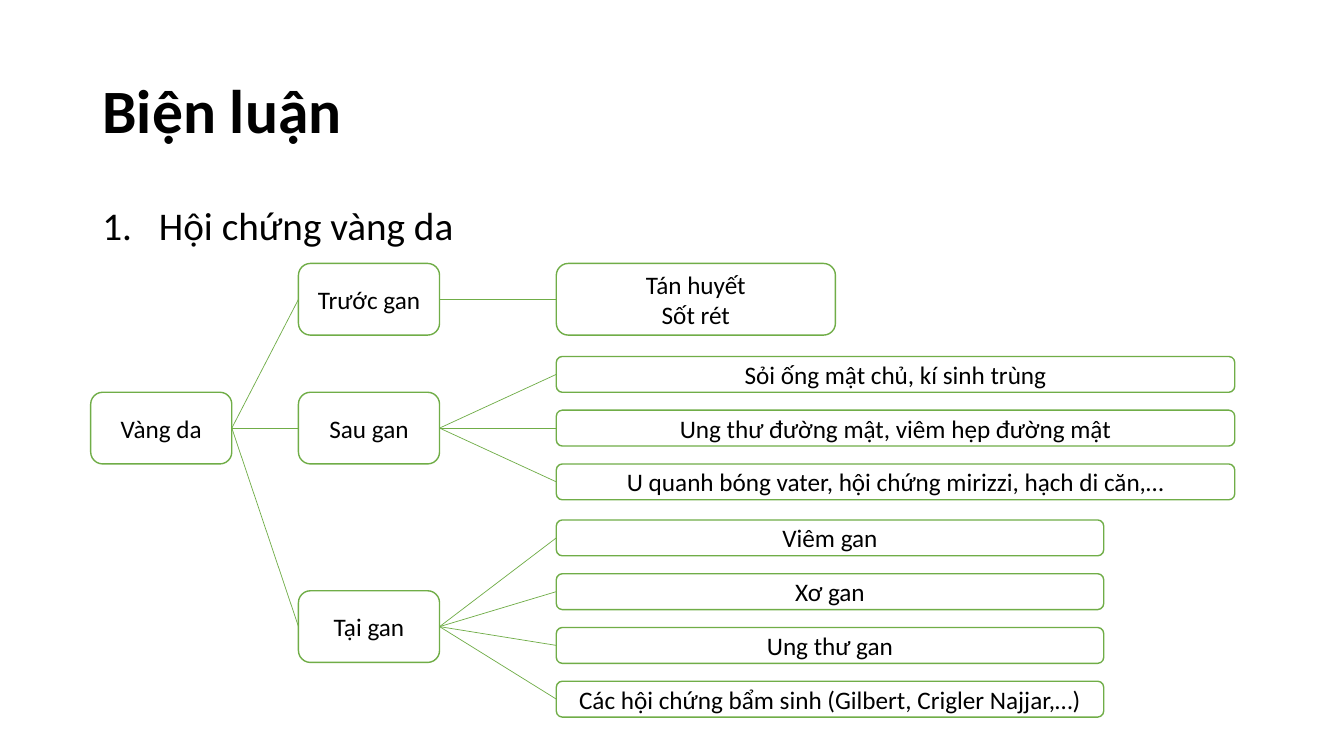
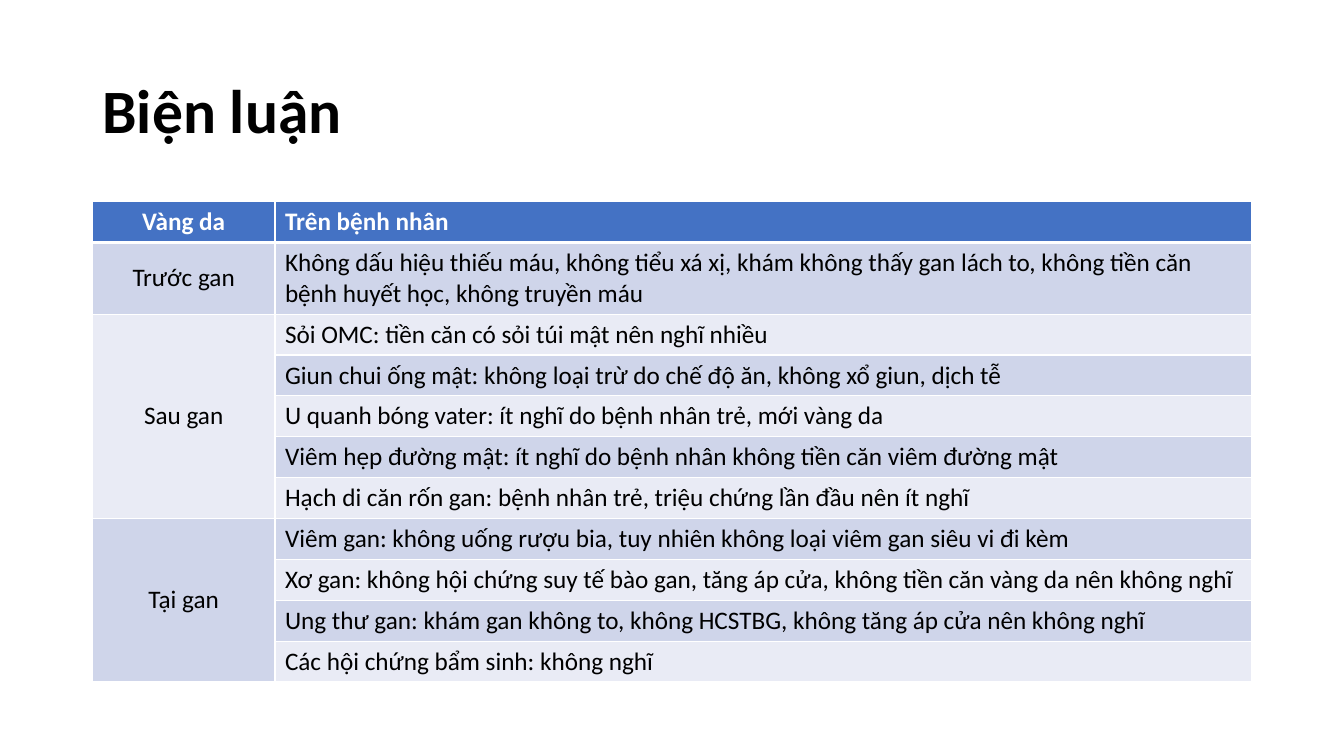
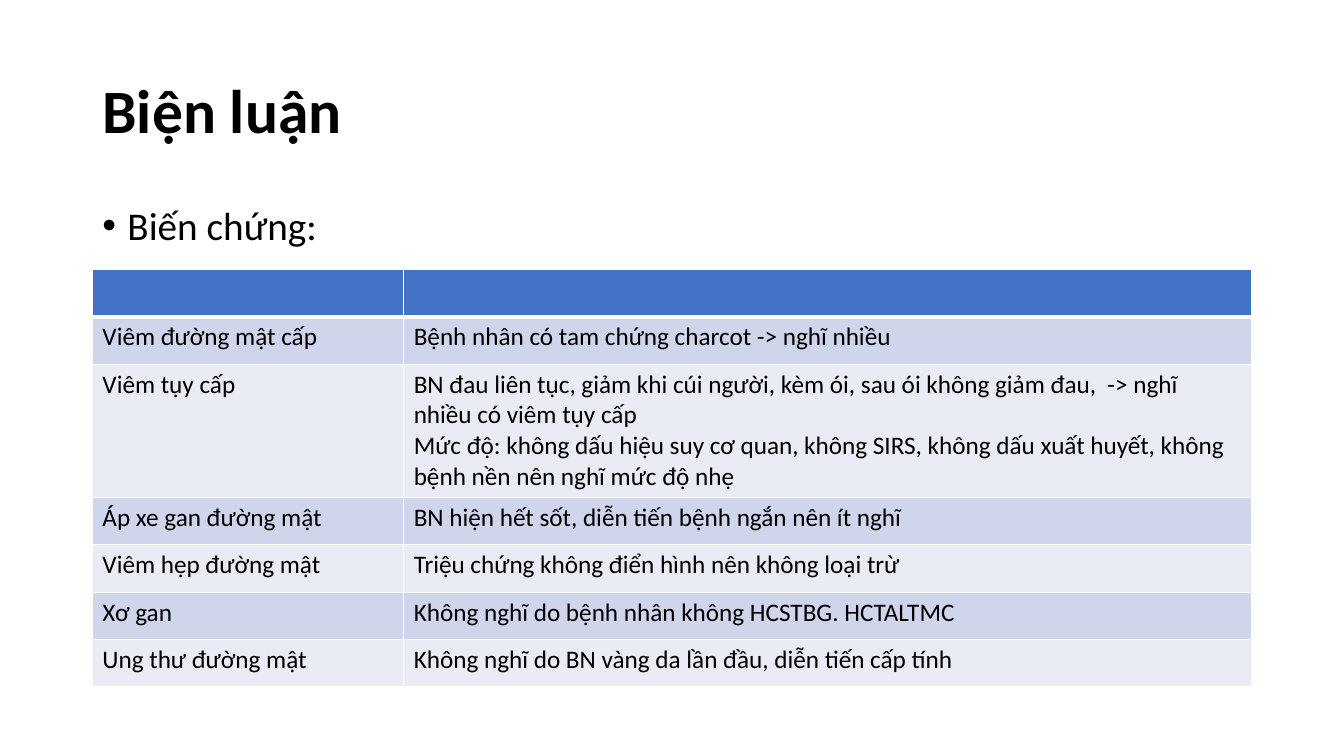
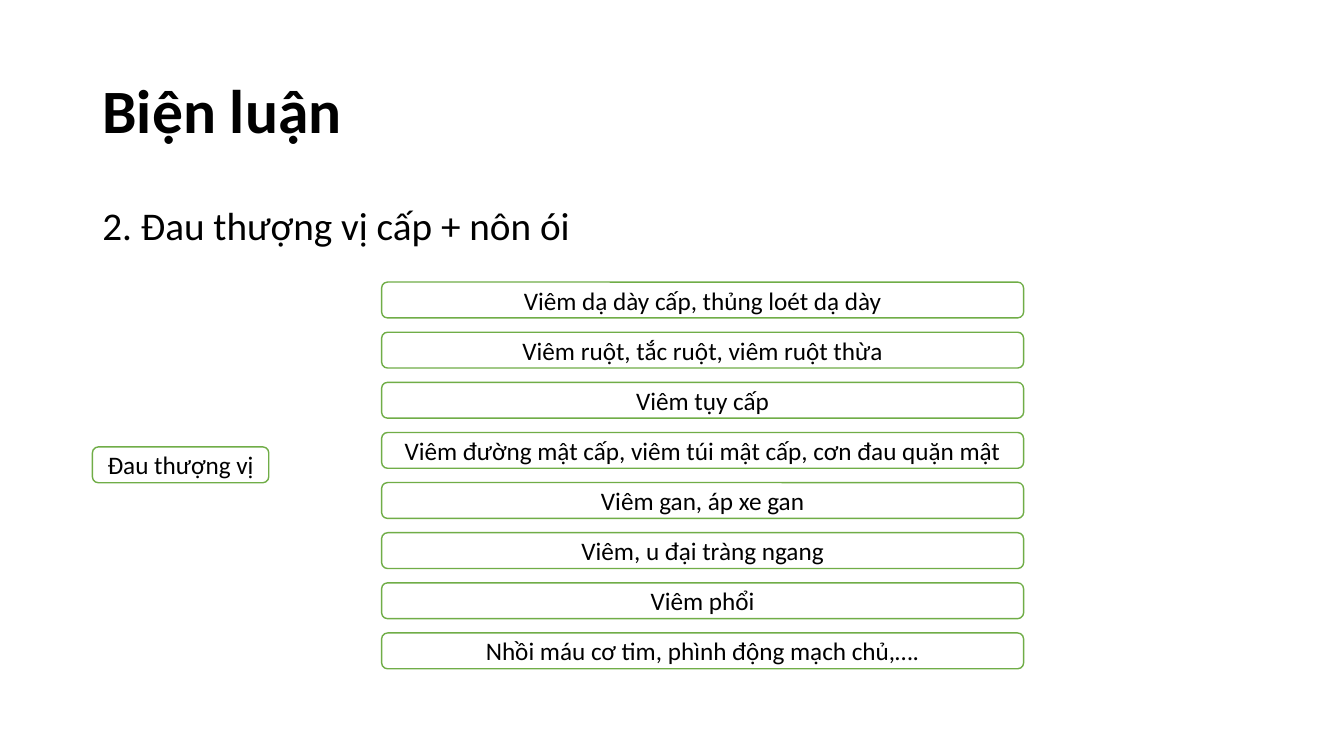
from dataclasses import dataclass
from typing import Optional

from lxml.etree import SubElement
from pptx import Presentation
from pptx.dml.color import RGBColor
from pptx.enum.shapes import MSO_CONNECTOR, MSO_SHAPE
from pptx.enum.text import MSO_ANCHOR, MSO_AUTO_SIZE, PP_ALIGN
from pptx.oxml import parse_xml
from pptx.oxml.ns import nsdecls, qn
from pptx.util import Pt

# Shared style
BLACK = RGBColor(0x00, 0x00, 0x00)
WHITE = RGBColor(0xFF, 0xFF, 0xFF)
GREEN = RGBColor(0x70, 0xAD, 0x47)
HEADER_BLUE = RGBColor(0x44, 0x72, 0xC4)
BANDS = (RGBColor(0xCF, 0xD5, 0xEA), RGBColor(0xE9, 0xEB, 0xF5))
FONT = "Calibri"
TITLE = "Biện luận"
TITLE_SIZE, HEADING_SIZE, TEXT_SIZE = 44, 28, 18
MARGIN, CONTENT_TOP, CONTENT_WIDTH = 66, 144, 828

# Box sizes
NODE_WIDTH, NODE_HEIGHT, LEAF_HEIGHT = 100.8, 51.2, 25.6
LEFT_SITE, RIGHT_SITE = 1, 3


@dataclass(frozen=True)
class Bullet:
    tag: str
    attribute: str
    value: str
    indent: float


@dataclass(frozen=True)
class Branch:
    label: str
    middle: float
    leaves: tuple[str, ...]
    leaves_middle: float
    leaf_width: float
    leaf_height: float = LEAF_HEIGHT


@dataclass(frozen=True)
class Finding:
    label: str
    notes: tuple[str, ...]


NUMBERED = Bullet("a:buAutoNum", "type", "arabicPeriod", 40.5)
DOT = Bullet("a:buChar", "char", "•", 18)

# Slide content
BRANCHES = (
    Branch("Trước gan", 213.8, ("Tán huyết\nSốt rét",), 213.8, 199.4, NODE_HEIGHT),
    Branch("Sau gan", 305.8, (
        "Sỏi ống mật chủ, kí sinh trùng",
        "Ung thư đường mật, viêm hẹp đường mật",
        "U quanh bóng vater, hội chứng mirizzi, hạch di căn,…",
    ), 305.8, 484.6),
    Branch("Tại gan", 447.6, (
        "Viêm gan",
        "Xơ gan",
        "Ung thư gan",
        "Các hội chứng bẩm sinh (Gilbert, Crigler Najjar,…)",
    ), 441.8, 391),
)
JAUNDICE_FINDINGS = (
    Finding("Trước gan", (
        "Không dấu hiệu thiếu máu, không tiểu xá xị, khám không thấy gan lách to, "
        "không tiền căn bệnh huyết học, không truyền máu",
    )),
    Finding("Sau gan", (
        "Sỏi OMC: tiền căn có sỏi túi mật nên nghĩ nhiều",
        "Giun chui ống mật: không loại trừ do chế độ ăn, không xổ giun, dịch tễ",
        "U quanh bóng vater: ít nghĩ do bệnh nhân trẻ, mới vàng da",
        "Viêm hẹp đường mật: ít nghĩ do bệnh nhân không tiền căn viêm đường mật",
        "Hạch di căn rốn gan: bệnh nhân trẻ, triệu chứng lần đầu nên ít nghĩ",
    )),
    Finding("Tại gan", (
        "Viêm gan: không uống rượu bia, tuy nhiên không loại viêm gan siêu vi đi kèm",
        "Xơ gan: không hội chứng suy tế bào gan, tăng áp cửa, "
        "không tiền căn vàng da nên không nghĩ",
        "Ung thư gan: khám gan không to, không HCSTBG, không tăng áp cửa nên không nghĩ",
        "Các hội chứng bẩm sinh: không nghĩ",
    )),
)
COMPLICATIONS = (
    Finding("Viêm đường mật cấp", ("Bệnh nhân có tam chứng charcot -> nghĩ nhiều",)),
    Finding("Viêm tụy cấp", (
        "BN đau liên tục, giảm khi cúi người, kèm ói, sau ói không giảm đau,  -> nghĩ "
        "nhiều có viêm tụy cấp\n"
        "Mức độ: không dấu hiệu suy cơ quan, không SIRS, không dấu xuất huyết, "
        "không bệnh nền nên nghĩ mức độ nhẹ",
    )),
    Finding("Áp xe gan đường mật", ("BN hiện hết sốt, diễn tiến bệnh ngắn nên ít nghĩ",)),
    Finding("Viêm hẹp đường mật", ("Triệu chứng không điển hình nên không loại trừ",)),
    Finding("Xơ gan", ("Không nghĩ do bệnh nhân không HCSTBG. HCTALTMC",)),
    Finding("Ung thư đường mật", ("Không nghĩ do BN vàng da lần đầu, diễn tiến cấp tính",)),
)
PAIN_CAUSES = (
    "Viêm dạ dày cấp, thủng loét dạ dày",
    "Viêm ruột, tắc ruột, viêm ruột thừa",
    "Viêm tụy cấp",
    "Viêm đường mật cấp, viêm túi mật cấp, cơn đau quặn mật",
    "Viêm gan, áp xe gan",
    "Viêm, u đại tràng ngang",
    "Viêm phổi",
    "Nhồi máu cơ tim, phình động mạch chủ,….",
)


# Text and page helpers
def write(frame, text: str, size: float = TEXT_SIZE, color: RGBColor = BLACK,
          bold: bool = False, align: PP_ALIGN = PP_ALIGN.LEFT,
          line_spacing: Optional[float] = None, bullet: Optional[Bullet] = None) -> None:
    frame.text = text
    frame.word_wrap = True
    for para in frame.paragraphs:
        para.alignment = align
        if line_spacing:
            para.line_spacing = line_spacing
        if bullet:
            properties = para._p.get_or_add_pPr()
            properties.set("marL", str(Pt(bullet.indent)))
            properties.set("indent", str(-Pt(bullet.indent)))
            if bullet is DOT:
                SubElement(properties, qn("a:buFont")).set("typeface", "Arial")
            SubElement(properties, qn(bullet.tag)).set(bullet.attribute, bullet.value)
        para.font.name = FONT
        para.font.size = Pt(size)
        para.font.bold = bold
        para.font.color.rgb = color


def add_page(deck, heading: str = "", bullet: Optional[Bullet] = None):
    page = deck.slides.add_slide(deck.slide_layouts[5])
    title = page.shapes.title
    title.left, title.top = Pt(MARGIN), Pt(28.8)
    title.width, title.height = Pt(CONTENT_WIDTH), Pt(104.4)
    write(title.text_frame, TITLE, TITLE_SIZE, bold=True, line_spacing=0.9)
    title.text_frame.auto_size = MSO_AUTO_SIZE.NONE
    title.text_frame.vertical_anchor = MSO_ANCHOR.MIDDLE
    if heading:
        box = page.shapes.add_textbox(
            Pt(MARGIN), Pt(CONTENT_TOP), Pt(CONTENT_WIDTH), Pt(42))
        write(box.text_frame, heading, HEADING_SIZE, line_spacing=0.9, bullet=bullet)
    return page


# Diagram helpers
def add_box(page, text: str, left: float, middle: float, width: float, height: float):
    box = page.shapes.add_shape(
        MSO_SHAPE.FLOWCHART_ALTERNATE_PROCESS,
        Pt(left), Pt(middle - height / 2), Pt(width), Pt(height))
    box.shadow.inherit = False
    box.fill.solid()
    box.fill.fore_color.rgb = WHITE
    box.line.color.rgb = GREEN
    box.line.width = Pt(1)
    write(box.text_frame, text, align=PP_ALIGN.CENTER)
    box.text_frame.vertical_anchor = MSO_ANCHOR.MIDDLE
    return box


def add_stack(page, texts: tuple[str, ...], left: float, middle: float,
              width: float, height: float, pitch: float) -> list:
    first = middle - pitch * (len(texts) - 1) / 2
    return [add_box(page, text, left, first + pitch * index, width, height)
            for index, text in enumerate(texts)]


def link(page, source, target) -> None:
    line = page.shapes.add_connector(MSO_CONNECTOR.STRAIGHT, 0, 0, 0, 0)
    line.begin_connect(source, RIGHT_SITE)
    line.end_connect(target, LEFT_SITE)
    line.line.color.rgb = GREEN
    line.line.width = Pt(0.5)
    SubElement(line._element.spPr, qn("a:effectLst"))


# Table helpers
def style_cell(cell, fill: RGBColor, top: float, bottom: float) -> None:
    cell.fill.solid()
    cell.fill.fore_color.rgb = fill
    sides = (("L", 1), ("R", 1), ("T", top), ("B", bottom))
    for index, (side, width) in enumerate(sides):
        border = parse_xml(
            f'<a:ln{side} {nsdecls("a")} w="{Pt(width)}"><a:solidFill>'
            f'<a:srgbClr val="{WHITE}"/></a:solidFill></a:ln{side}>')
        cell._tc.get_or_add_tcPr().insert(index, border)


def add_findings(page, header: tuple[str, str], findings: tuple[Finding, ...],
                 top: float, label_width: float, row_height: float,
                 tall_row: int, tall_height: float, center_labels: bool) -> None:
    row_count = 1 + sum(len(finding.notes) for finding in findings)
    height = row_height * (row_count - 1) + tall_height
    table = page.shapes.add_table(
        row_count, 2, Pt(MARGIN), Pt(top), Pt(CONTENT_WIDTH), Pt(height)).table
    table.columns[0].width = Pt(label_width)
    table.columns[1].width = Pt(CONTENT_WIDTH - label_width)

    for index, row in enumerate(table.rows):
        row.height = Pt(tall_height if index == tall_row else row_height)
        fill = BANDS[(index - 1) % 2] if index else HEADER_BLUE
        for cell in row.cells:
            style_cell(cell, fill, 3 if index == 1 else 1, 1 if index else 3)

    def fill_row(index: int, label: str, note: str) -> None:
        color, bold = (BLACK, False) if index else (WHITE, True)
        align = PP_ALIGN.CENTER if center_labels else PP_ALIGN.LEFT
        label_cell, note_cell = table.cell(index, 0), table.cell(index, 1)
        if not label_cell.is_spanned:
            write(label_cell.text_frame, label, color=color, bold=bold, align=align)
            if center_labels:
                label_cell.vertical_anchor = MSO_ANCHOR.MIDDLE
        write(note_cell.text_frame, note, color=color, bold=bold)

    fill_row(0, *header)
    start = 1
    for finding in findings:
        last = start + len(finding.notes) - 1
        if last > start:
            table.cell(start, 0).merge(table.cell(last, 0))
        for index, note in enumerate(finding.notes, start):
            fill_row(index, finding.label, note)
        start = last + 1


# Slides
def jaundice_tree(deck) -> None:
    page = add_page(deck, "Hội chứng vàng da", NUMBERED)
    root = add_box(page, "Vàng da", 64.8, 305.8, NODE_WIDTH, NODE_HEIGHT)
    for branch in BRANCHES:
        node = add_box(page, branch.label, 213.2, branch.middle, NODE_WIDTH, NODE_HEIGHT)
        link(page, root, node)
        for leaf in add_stack(page, branch.leaves, 397.4, branch.leaves_middle,
                              branch.leaf_width, branch.leaf_height, 38.4):
            link(page, node, leaf)


def jaundice_table(deck) -> None:
    add_findings(add_page(deck), ("Vàng da", "Trên bệnh nhân"), JAUNDICE_FINDINGS,
                 CONTENT_TOP, 130.4, 29.2, 1, 51, center_labels=True)


def complications_table(deck) -> None:
    add_findings(add_page(deck, "Biến chứng:", DOT), ("", ""), COMPLICATIONS,
                 192.4, 222.4, 33.9, 2, 95.1, center_labels=False)


def pain_causes(deck) -> None:
    page = add_page(deck, "2. Đau thượng vị cấp + nôn ói")
    add_box(page, "Đau thượng vị", MARGIN, 332, 126, LEAF_HEIGHT)
    add_stack(page, PAIN_CAUSES, 272.6, 339.6, 458.6, LEAF_HEIGHT, 35.8)


def main() -> None:
    deck = Presentation()
    deck.slide_width, deck.slide_height = Pt(960), Pt(540)
    for build in (jaundice_tree, jaundice_table, complications_table, pain_causes):
        build(deck)
    deck.save("out.pptx")


if __name__ == "__main__":
    main()
